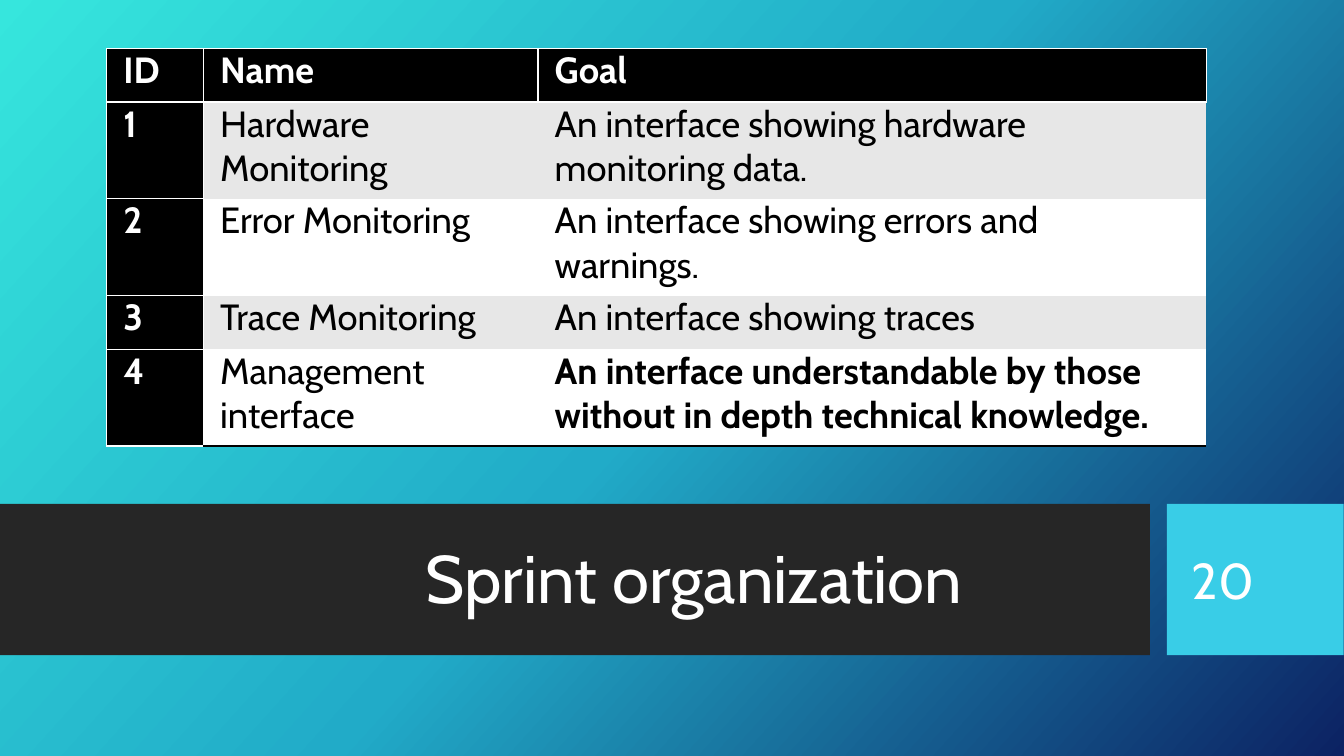
from copy import deepcopy

from lxml.etree import SubElement
from pptx import Presentation
from pptx.dml.color import RGBColor
from pptx.enum.shapes import MSO_SHAPE
from pptx.enum.text import MSO_ANCHOR, PP_ALIGN
from pptx.oxml.ns import qn
from pptx.util import Cm, Pt

FONT = "Cabin"
COLORS = {
    "aqua": "36E6DD", "teal": "21ABC8", "navy": "0C2263",
    "band": "262626", "tile": "39CDE7",
    "black": "000000", "white": "FFFFFF", "gray": "E7E7E7",
}
ROWS = [
    ("ID", "Name", "Goal"),
    ("1", "Hardware Monitoring", "An interface showing hardware monitoring data."),
    ("2", "Error Monitoring", "An interface showing errors and warnings."),
    ("3", "Trace Monitoring", "An interface showing traces"),
    ("4", "Management interface",
     "An interface understandable by those without in depth technical knowledge."),
]
WIDTHS = (2.44, 8.43, 16.84)
HEIGHTS = (1.35, 2.44, 2.44, 1.35, 2.44)


def color(name):
    return RGBColor.from_string(COLORS[name])


def add_run(para, text, size, tint="white", bold=False):
    run = para.add_run()
    run.text = text
    font = run.font
    font.name, font.size, font.bold = FONT, Pt(size), bold
    font.color.rgb = color(tint)


def paint_back(slide):
    fill = slide.background.fill
    fill.gradient()
    fill.gradient_angle = 360 - 42
    # A third stop goes between the two default ones
    stops = slide.element.find(".//" + qn("a:gsLst"))
    stops.insert(1, deepcopy(stops[0]))
    for stop, name, place in zip(fill.gradient_stops, ("aqua", "teal", "navy"), (0, 0.5, 1)):
        stop.color.rgb = color(name)
        stop.position = place


def set_edges(cell, edges):
    """Draw the given sides as (color, points) and clear the others."""
    props = cell._tc.get_or_add_tcPr()
    for side in "LRTB":
        line = SubElement(props, qn("a:ln" + side))
        if side in edges:
            name, width = edges[side]
            line.set("w", str(Pt(width)))
            solid = SubElement(line, qn("a:solidFill"))
            SubElement(solid, qn("a:srgbClr")).set("val", COLORS[name])
        else:
            SubElement(line, qn("a:noFill"))


def pick_edges(row, col):
    thin = ("white", 1)
    if row == 0 or col == 0:
        return dict.fromkeys("LRTB", thin)
    edges = {}
    if col == 1:
        edges["L"] = thin
    if row == 1:
        edges["T"] = thin
    if row == len(ROWS) - 1:
        edges["B"] = ("black", 2)
    return edges


def add_grid(slide, left, top):
    frame = slide.shapes.add_table(len(ROWS), len(WIDTHS), Cm(left), Cm(top),
                                   Cm(sum(WIDTHS)), Cm(sum(HEIGHTS)))
    table = frame.table
    table.first_row = table.horz_banding = False
    for col, width in zip(table.columns, WIDTHS):
        col.width = Cm(width)
    for line, height in zip(table.rows, HEIGHTS):
        line.height = Cm(height)
    for row, texts in enumerate(ROWS):
        for col, text in enumerate(texts):
            cell = table.cell(row, col)
            head = row == 0 or col == 0
            last = row == len(ROWS) - 1 and col == len(WIDTHS) - 1
            cell.margin_left = cell.margin_right = Cm(0.42)
            cell.margin_top = cell.margin_bottom = 0
            set_edges(cell, pick_edges(row, col))
            cell.fill.solid()
            cell.fill.fore_color.rgb = color("black" if head else "gray" if row % 2 else "white")
            add_run(cell.text_frame.paragraphs[0], text, 26,
                    "white" if head else "black", head or last)


def add_block(slide, left, top, width, height, name):
    shape = slide.shapes.add_shape(MSO_SHAPE.RECTANGLE, Cm(left), Cm(top), Cm(width), Cm(height))
    shape.shadow.inherit = False
    shape.fill.solid()
    shape.fill.fore_color.rgb = color(name)
    shape.line.fill.background()


def add_label(slide, left, top, width, height, text, size, anchor):
    box = slide.shapes.add_textbox(Cm(left), Cm(top), Cm(width), Cm(height))
    frame = box.text_frame
    frame.word_wrap = True
    frame.vertical_anchor = anchor
    para = frame.paragraphs[0]
    add_run(para, text, size)
    return para


def add_footer(slide, top, height):
    # Dark band and number tile
    add_block(slide, 0, top, 28.98, height, "band")
    add_block(slide, 29.41, top, 4.45, height, "tile")
    # Title and slide number
    title = add_label(slide, 1.93, top + 0.38, 22.58, 2.62,
                      "Sprint organization", 48, MSO_ANCHOR.BOTTOM)
    title.alignment = PP_ALIGN.RIGHT
    title.line_spacing = 0.9
    title.space_after = Pt(6)
    add_label(slide, 29.79, top + 0.38, 3.2, 3.02, "20", 36, MSO_ANCHOR.MIDDLE)


def main():
    deck = Presentation()
    deck.slide_width, deck.slide_height = Cm(33.87), Cm(19.05)
    slide = deck.slides.add_slide(deck.slide_layouts[6])
    paint_back(slide)
    add_footer(slide, 12.7, 3.81)
    add_grid(slide, 2.69, 1.22)
    deck.save("out.pptx")


if __name__ == "__main__":
    main()
